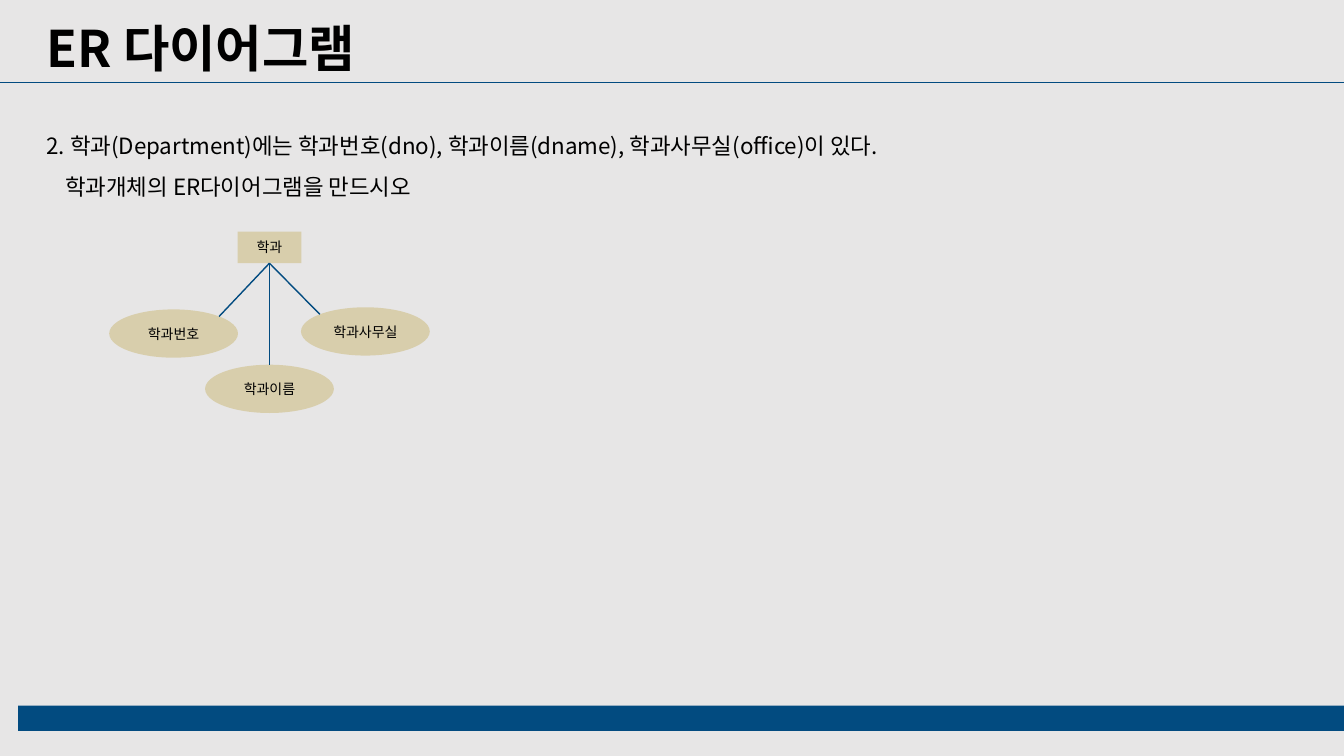
import math

from pptx import Presentation
from pptx.dml.color import RGBColor
from pptx.enum.shapes import MSO_CONNECTOR, MSO_SHAPE
from pptx.enum.text import MSO_ANCHOR, MSO_AUTO_SIZE, PP_ALIGN
from pptx.oxml.ns import qn
from pptx.util import Pt

RECT, OVAL = MSO_SHAPE.RECTANGLE, MSO_SHAPE.OVAL
STRAIGHT = MSO_CONNECTOR.STRAIGHT
LEFT, CENTER = PP_ALIGN.LEFT, PP_ALIGN.CENTER
TOP, MIDDLE = MSO_ANCHOR.TOP, MSO_ANCHOR.MIDDLE
NO_FIT = MSO_AUTO_SIZE.NONE

FONT = "Noto Sans CJK KR"
BLACK, BLUE, SAND, GREY = "000000", "024B80", "D8CEAC", "E7E6E6"
SLIDE_W, SLIDE_H = 960, 540


def color(hex_text):
    return RGBColor.from_string(hex_text)


def place(sp, x, y, w, h):
    sp.left, sp.top, sp.width, sp.height = Pt(x), Pt(y), Pt(w), Pt(h)


def write(sp, lines, size, bold=False, align=LEFT, anchor=TOP,
          spacing=1.0, indents=(0,), inset=(7.2, 3.6)):
    tf = sp.text_frame
    tf.word_wrap, tf.auto_size, tf.vertical_anchor = True, NO_FIT, anchor
    tf.margin_left = tf.margin_right = Pt(inset[0])
    tf.margin_top = tf.margin_bottom = Pt(inset[1])
    for i, (line, indent) in enumerate(zip(lines, indents)):
        p = tf.add_paragraph() if i else tf.paragraphs[0]
        p.alignment, p.line_spacing, p.space_before = align, spacing, Pt(0)
        pPr = p._p.get_or_add_pPr()
        pPr.set("marL", str(Pt(indent)))
        pPr.set("indent", "0")
        pPr.append(pPr.makeelement(qn("a:buNone"), {}))
        r = p.add_run()
        r.text = line
        r.font.name, r.font.size, r.font.bold = FONT, Pt(size), bold
        r.font.color.rgb = color(BLACK)
        # Hangul takes the East Asian typeface
        rPr = r._r.get_or_add_rPr()
        rPr.append(rPr.makeelement(qn("a:ea"), {"typeface": FONT}))


def add_block(s, kind, x, y, w, h, fill):
    sp = s.shapes.add_shape(kind, Pt(x), Pt(y), Pt(w), Pt(h))
    sp.shadow.inherit = False
    sp.fill.solid()
    sp.fill.fore_color.rgb = color(fill)
    sp.line.fill.background()
    return sp


def add_line(s, x1, y1, x2, y2, width):
    line = s.shapes.add_connector(STRAIGHT, Pt(x1), Pt(y1), Pt(x2), Pt(y2))
    line.line.color.rgb, line.line.width = color(BLUE), Pt(width)
    spPr = line._element.spPr
    spPr.append(spPr.makeelement(qn("a:effectLst"), {}))
    return line


def add_header(s, x, y, w, h):
    place(s.shapes.title, x, y, w, h)
    write(s.shapes.title, ["ER 다이어그램"], 36, bold=True, anchor=MIDDLE)
    add_line(s, 0, y + h, SLIDE_W, y + h, 0.5)


def add_question(s, x, y, w, h):
    body = s.placeholders[1]
    place(body, x, y, w, h)
    lines = ["2. 학과(Department)에는 학과번호(dno), 학과이름(dname), 학과사무실(office)이 있다.",
             "학과개체의 ER다이어그램을 만드시오"]
    write(body, lines, 16, spacing=1.5, indents=(0, 13.5))


def add_node(s, kind, label, x, y, w, h):
    sp = add_block(s, kind, x, y, w, h, SAND)
    write(sp, [label], 10, align=CENTER, anchor=MIDDLE, inset=(0, 0))
    return sp


def add_er_diagram(s, x, y, w):
    oval_w, oval_h, entity_w, entity_h = 92, 34.5, 45.5, 22.5
    step = (w - oval_w) / 2
    mid, bottom = x + w / 2, y + entity_h
    entity = add_node(s, RECT, "학과", mid - entity_w / 2, y, entity_w, entity_h)

    # Attributes: label, top offset, side of the oval that faces the entity
    attributes = [("학과번호", 55.5, 1), ("학과이름", 95, 0), ("학과사무실", 54, -1)]
    for i, (label, dy, side) in enumerate(attributes):
        left, top = x + i * step, y + dy
        oval = add_node(s, OVAL, label, left, top, oval_w, oval_h)
        # Outer ovals are met at 45 degrees, the middle one at its top
        angle = math.radians(90 - 45 * side)
        end_x = left + oval_w / 2 * (1 + math.cos(angle))
        end_y = top + oval_h / 2 * (1 - math.sin(angle))
        line = add_line(s, mid, bottom, end_x, end_y, 1)
        line.begin_connect(entity, 2)
        if side == 0:
            line.end_connect(oval, 0)


def main():
    prs = Presentation()
    prs.slide_width, prs.slide_height = Pt(SLIDE_W), Pt(SLIDE_H)
    s = prs.slides.add_slide(prs.slide_layouts[1])
    s.background.fill.solid()
    s.background.fill.fore_color.rgb = color(GREY)

    # Footer bar
    add_block(s, RECT, 13, 504, SLIDE_W - 13, 18, BLUE)
    add_header(s, 26, 8, 627, 51)
    add_question(s, 26, 81.5, 724, 62)
    add_er_diagram(s, 78, 165.5, 229)
    prs.save("out.pptx")


if __name__ == "__main__":
    main()
